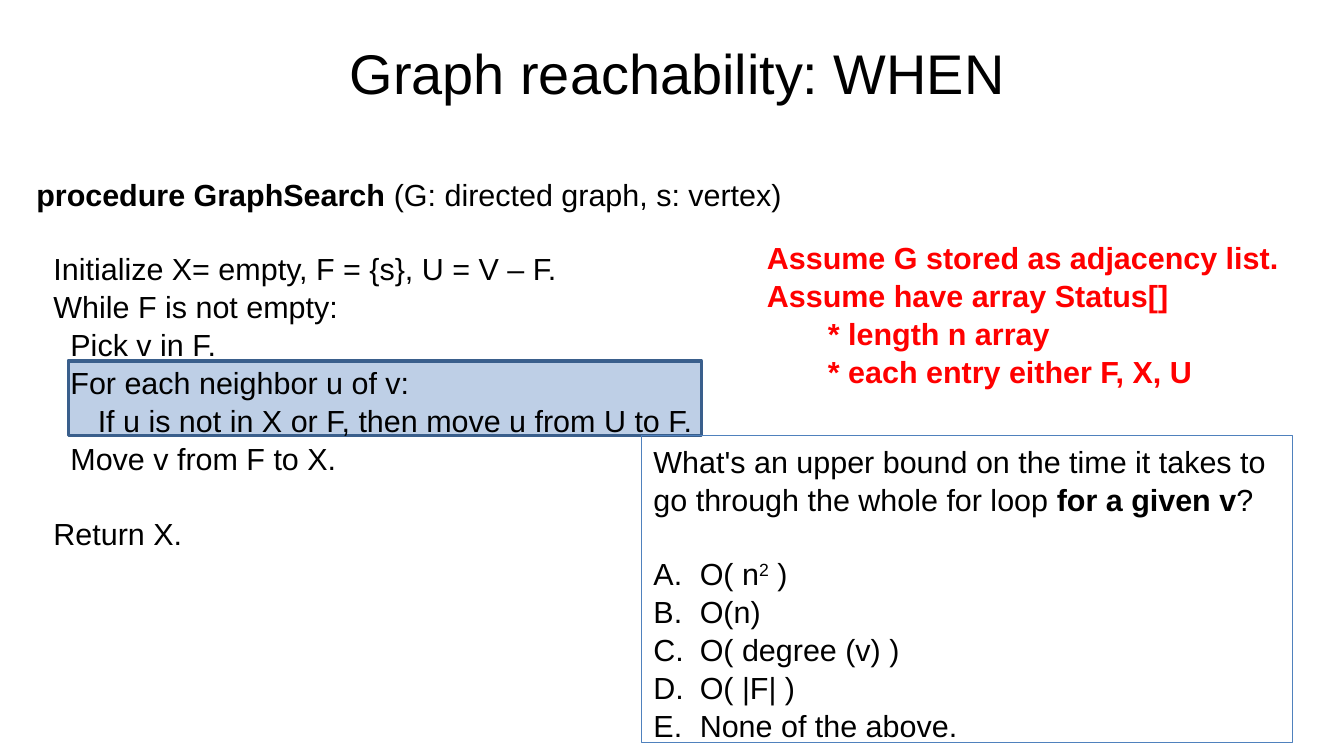
from pptx import Presentation
from pptx.dml.color import RGBColor
from pptx.enum.shapes import MSO_SHAPE
from pptx.enum.text import MSO_ANCHOR, PP_ALIGN
from pptx.util import Inches, Pt
from lxml.etree import SubElement
from pptx.oxml.ns import qn

prs = Presentation()
prs.slide_width, prs.slide_height = Inches(11.02), Inches(6.2)
s = prs.slides.add_slide(prs.slide_layouts[6])
BLACK, RED = "000000", "FF0000"
LINE = 21.6
INDENT = Inches(0.14)


def add_box(x, y, w, h, fill=None, line=None, width=0):
    area = [int(share * side / 100) for share, side in zip(
        (x, y, w, h), (prs.slide_width, prs.slide_height) * 2)]
    if not line:
        sp = s.shapes.add_textbox(*area)
    else:
        sp = s.shapes.add_shape(MSO_SHAPE.RECTANGLE, *area)
        sp.shadow.inherit = False
        sp.line.color.rgb = RGBColor.from_string(line)
        sp.line.width = Pt(width)
        sp.fill.background()
        if fill:
            sp.fill.solid()
            sp.fill.fore_color.rgb = RGBColor.from_string(fill)
    sp.text_frame.word_wrap = True
    sp.text_frame.vertical_anchor = MSO_ANCHOR.TOP
    return sp.text_frame


def add_text(tf, *runs, size=18, color=BLACK, bold=False, align=PP_ALIGN.LEFT,
             indent=0, hanging=0, gap=0, spacing=1.04, bullet=None):
    p = tf.paragraphs[0]
    if p.runs:
        p = tf.add_paragraph()
    p.alignment, p.line_spacing, p.space_before = align, spacing, Pt(gap)
    pPr = p._p.get_or_add_pPr()
    pPr.set("marL", str(int(indent)))
    pPr.set("indent", str(-int(hanging)))
    if bullet:
        SubElement(pPr, qn("a:buFont"), typeface="Arial")
        SubElement(pPr, qn("a:buAutoNum"), type=bullet)
    for text, style in runs:
        r = p.add_run()
        r.text = text
        r.font.name, r.font.size = "Arial", Pt(size)
        r.font.bold = bold or style == "bold"
        r.font.color.rgb = RGBColor.from_string(color)
        if style == "super":
            r._r.get_or_add_rPr().set("baseline", "30000")


add_box(5.08, 47.74, 47.1, 9.84, fill="BECFE6", line="3A5F8C", width=2)

tf = add_box(2.9, 3.87, 95.01, 11.45)
tf.margin_left = tf.margin_right = tf.margin_top = tf.margin_bottom = 0
tf.vertical_anchor = MSO_ANCHOR.MIDDLE
add_text(tf, ("Graph reachability: WHEN", ""), size=33, align=PP_ALIGN.CENTER, spacing=1)

tf = add_box(1.81, 22.26, 96.19, 50.48)
add_text(tf, ("procedure GraphSearch", "bold"), (" (G: directed graph, s: vertex)", ""))
for text, level, gap in (
    ("Initialize X= empty, F = {s}, U = V – F.", 1, LINE),
    ("While F is not empty:", 1, 0),
    ("Pick v in F.", 2, 0),
    ("For each neighbor u of v:", 2, 0),
    ("If u is not in X or F, then move u from U to F.", 3.6, 0),
    ("Move v from F to X.", 2, 0),
    ("Return X.", 1, LINE),
):
    add_text(tf, (text, ""), indent=INDENT * level, gap=gap)

tf = add_box(56.17, 30.65, 40.29, 21.13)
for text, indent in (
    ("Assume G stored as adjacency list.", 0),
    ("Assume have array Status[]", 0),
    ("* length n array", 0.5),
    ("* each entry either F, X, U", 0.5),
):
    add_text(tf, (text, ""), color=RED, bold=True, indent=Inches(indent))

tf = add_box(47.73, 57.58, 48.46, 40.65, line="4F81BD", width=0.75)
add_text(tf, ("What's an upper bound on the time it takes to", ""))
add_text(tf, ("go through the whole for loop ", ""), ("for a given v", "bold"), ("?", ""))
for i, runs in enumerate((
    (("O( n", ""), ("2", "super"), (" )", "")),
    (("O(n)", ""),),
    (("O( degree (v) )", ""),),
    (("O( |F| )", ""),),
    (("None of the above.", ""),),
)):
    add_text(tf, *runs, indent=Inches(0.38), hanging=Inches(0.38),
             gap=0 if i else LINE, bullet="alphaUcPeriod")

prs.save("out.pptx")
